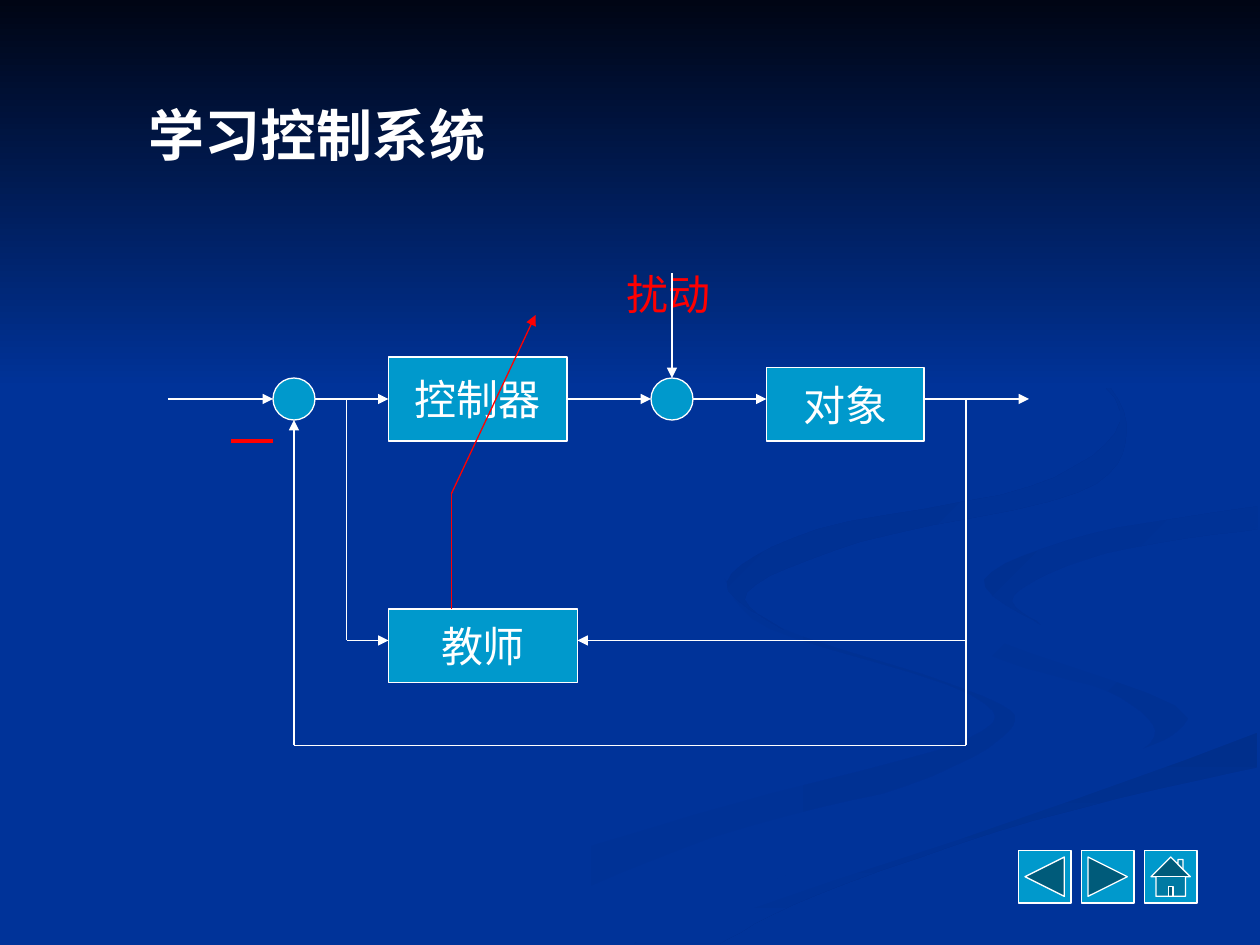
from dataclasses import dataclass

from pptx import Presentation
from pptx.dml.color import RGBColor
from pptx.enum.shapes import MSO_CONNECTOR, MSO_SHAPE
from pptx.enum.text import MSO_ANCHOR, PP_ALIGN
from pptx.oxml.ns import qn
from pptx.util import Inches, Pt
from lxml.etree import SubElement

CELL = Inches(1) / 12  # the slide is a grid of 120 columns and 90 rows
COLUMNS, ROWS = 120, 90
BLUE, TEAL, WHITE, RED = "003399", "0099CC", "FFFFFF", "FF0000"
FONT = "Times New Roman"

# Ribbons: the two edges in hundredths of an inch, gradient ends, clockwise angle
RIBBONS = [
    ([(575, 459), (614, 496), (781, 553), (800, 581), (721, 623), (564, 665), (361, 749)],
     [(575, 459), (611, 499), (770, 551), (767, 587), (579, 639), (417, 690), (300, 749)],
     (BLUE, "003193"), 0),
    ([(724, 464), (792, 509), (905, 540), (943, 570), (894, 605)],
     [(724, 464), (781, 518), (880, 549), (917, 580), (894, 605)],
     (BLUE, "003193"), 45),
    ([(998, 581), (831, 629), (630, 693), (503, 749)],
     [(998, 609), (821, 651), (649, 710), (571, 749)],
     ("002F8C", BLUE), 90),
    ([(999, 387), (808, 417), (725, 464), (793, 509), (943, 570), (812, 625), (477, 749)],
     [(999, 402), (811, 437), (782, 466), (866, 509), (999, 538), (999, 581), (519, 747)],
     (BLUE, BLUE), 0),
    ([(998, 402), (865, 424), (781, 460), (826, 496)],
     [(998, 420), (878, 439), (805, 472), (826, 496)],
     ("003091", BLUE), 45),
    ([(762, 233), (864, 291), (894, 344), (855, 391), (683, 430), (593, 470), (622, 500)],
     [(762, 233), (846, 279), (889, 335), (818, 386), (649, 420), (577, 462), (622, 500)],
     ("002F8E", BLUE), 45),
]


@dataclass
class Box:
    """A region of the slide, measured in grid cells."""
    column: float
    row: float
    width: float
    height: float

    def point(self, column, row):
        return round((self.column + column) * CELL), round((self.row + row) * CELL)

    def place(self, column, row, width, height):
        return *self.point(column, row), round(width * CELL), round(height * CELL)


def rgb(value):
    return RGBColor.from_string(value)


def write(text_frame, text, size, color, bold=False):
    text_frame.text = text
    font = text_frame.paragraphs[0].runs[0].font
    font.name, font.size, font.bold = FONT, Pt(size), bold
    font.color.rgb = rgb(color)


def add_text(slide, bounds, text, size, color, bold=False):
    text_frame = slide.shapes.add_textbox(*bounds).text_frame
    text_frame.word_wrap = True
    write(text_frame, text, size, color, bold)


def add_part(slide, kind, bounds, label=None):
    shape = slide.shapes.add_shape(kind, *bounds)
    shape.shadow.inherit = False
    shape.fill.solid()
    shape.fill.fore_color.rgb = rgb(TEAL)
    shape.line.color.rgb = rgb(WHITE)
    shape.line.width = Pt(0.75)
    if label:
        text_frame = shape.text_frame
        text_frame.word_wrap = False
        text_frame.vertical_anchor = MSO_ANCHOR.MIDDLE
        write(text_frame, label, 24, WHITE)
        text_frame.paragraphs[0].alignment = PP_ALIGN.CENTER


def add_line(slide, start, end, arrow=False, color=WHITE, width=0.75):
    connector = slide.shapes.add_connector(MSO_CONNECTOR.STRAIGHT, *start, *end)
    connector.line.color.rgb = rgb(color)
    connector.line.width = Pt(width)
    properties = connector.element.spPr
    if arrow:
        SubElement(properties.find(qn("a:ln")), qn("a:tailEnd"), type="triangle")
    SubElement(properties, qn("a:effectLst"))


def smooth(points, steps=6):
    """Run a Catmull-Rom curve through the points."""
    padded = [points[0], *points, points[-1]]
    curve = []
    for before, start, end, after in zip(padded, padded[1:], padded[2:], padded[3:]):
        for step in range(steps):
            t = step / steps
            curve.append(tuple(
                b + t * (c - a + t * (2 * a - 5 * b + 4 * c - d
                                      + t * (3 * b - a - 3 * c + d))) / 2
                for a, b, c, d in zip(before, start, end, after)))
            if step == 0:
                curve[-1] = start
    return [*curve, points[-1]]


def fill_gradient(shape, colors, angle):
    shape.shadow.inherit = False
    shape.line.fill.background()
    shape.fill.gradient()
    shape.fill.gradient_angle = (360 - angle) % 360
    for stop, color in zip(shape.fill.gradient_stops, colors):
        stop.color.rgb = rgb(color)


def draw_background(slide, box):
    slide.background.fill.solid()
    slide.background.fill.fore_color.rgb = rgb(BLUE)
    # Flowing ribbons
    for first_edge, second_edge, colors, angle in RIBBONS:
        outline = smooth(first_edge) + smooth(second_edge)[::-1]
        builder = slide.shapes.build_freeform(*outline[0], scale=Inches(0.01))
        builder.add_line_segments(outline[1:], close=True)
        fill_gradient(builder.convert_to_shape(*box.point(0, 0)), colors, angle)
    # Dark sky
    sky = slide.shapes.add_shape(MSO_SHAPE.RECTANGLE, *box.place(0, 0, box.width, 37))
    fill_gradient(sky, ("000514", BLUE), 90)


def draw_navigation(slide, box):
    buttons = (MSO_SHAPE.ACTION_BUTTON_BACK_OR_PREVIOUS,
               MSO_SHAPE.ACTION_BUTTON_FORWARD_OR_NEXT,
               MSO_SHAPE.ACTION_BUTTON_HOME)
    for index, kind in enumerate(buttons):
        add_part(slide, kind, box.place(index * 6, 0, box.height, box.height))


def draw_title(slide, box):
    add_text(slide, box.place(0, 0, box.width, box.height), "学习控制系统", 32, WHITE, True)


def draw_control_loop(slide, box):
    # Disturbance label
    add_text(slide, box.place(42.5, -1, 12, 6), "扰动", 24, RED)

    # Blocks and summing points
    for label, *cells in (("控制器", 21, 8, 17, 8), ("对象", 57, 9, 15, 7),
                          ("教师", 21, 32, 18, 7)):
        add_part(slide, MSO_SHAPE.RECTANGLE, box.place(*cells), label)
    for column in (10, 46):
        add_part(slide, MSO_SHAPE.OVAL, box.place(column, 10, 4, 4))

    # Forward signals along the main axis
    for start, end in ((0, 10), (14, 21), (38, 46), (50, 57), (72, 82)):
        add_line(slide, box.point(start, 12), box.point(end, 12), True)

    # Routes that end in an arrow: disturbance, teacher inputs, feedback, tuning
    routes = (([(48, 0), (48, 10)], WHITE),
              ([(17, 12), (17, 35), (21, 35)], WHITE),
              ([(76, 35), (39, 35)], WHITE),
              ([(76, 12), (76, 45), (12, 45), (12, 14)], WHITE),
              ([(27, 32), (27, 21), (35, 4)], RED))
    for corners, color in routes:
        for start, end in zip(corners, corners[1:]):
            add_line(slide, box.point(*start), box.point(*end), end == corners[-1], color)

    # Minus sign of the feedback
    add_line(slide, box.point(6, 16), box.point(10, 16), color=RED, width=2)


def main():
    presentation = Presentation()
    presentation.slide_width = round(COLUMNS * CELL)
    presentation.slide_height = round(ROWS * CELL)
    slide = presentation.slides.add_slide(presentation.slide_layouts[6])
    draw_background(slide, Box(0, 0, COLUMNS, ROWS))
    draw_navigation(slide, Box(97, 81, 17, 5))
    draw_title(slide, Box(13, 9, 100, 8))
    draw_control_loop(slide, Box(16, 26, 82, 45))
    presentation.save("out.pptx")


if __name__ == "__main__":
    main()
